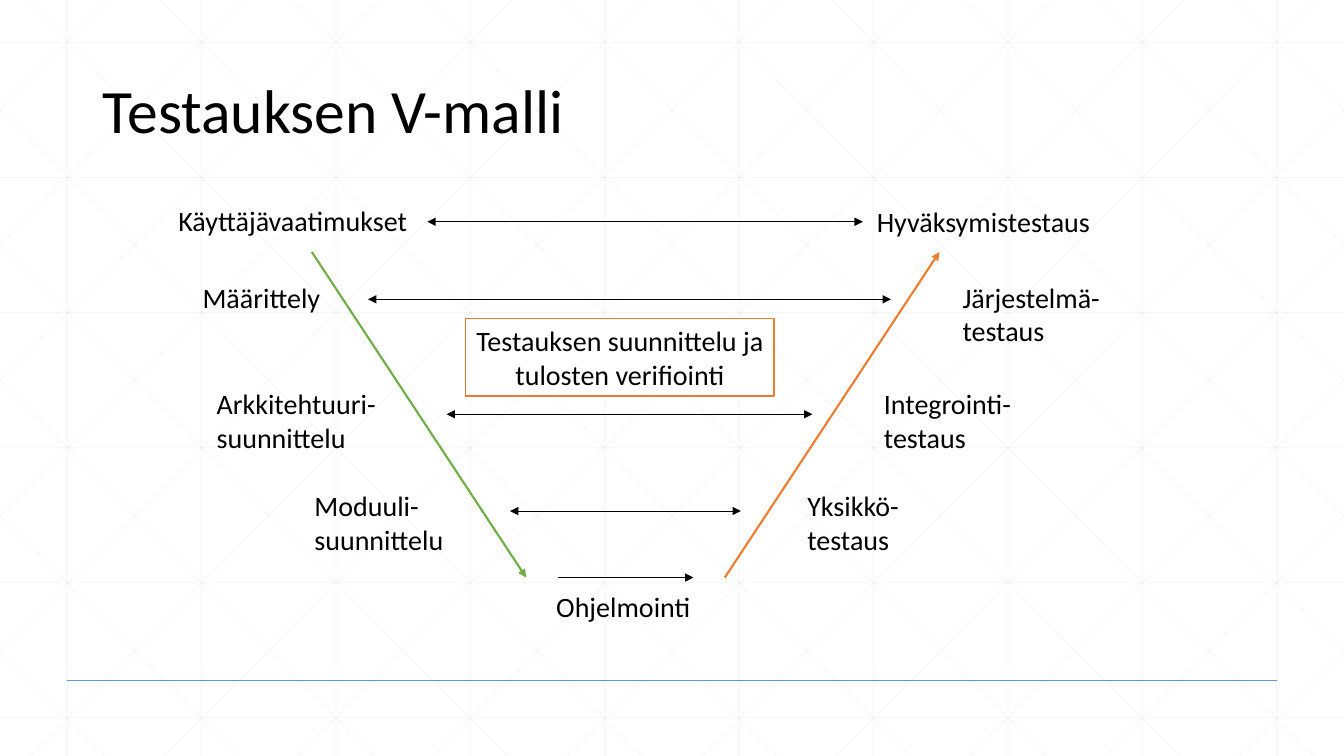
import pptx
import pptx.util
import pptx.dml.color
import pptx.enum.shapes
import pptx.enum.text
import pptx.oxml.ns
import lxml.etree

RGB = pptx.dml.color.RGBColor
BLACK = RGB(0, 0, 0)
WHITE = RGB(255, 255, 255)
GREY = RGB(0xD9, 0xD9, 0xD9)
BLUE = RGB(0x5B, 0x9B, 0xD5)
GREEN = RGB(0x70, 0xAD, 0x47)
ORANGE = RGB(0xED, 0x7D, 0x31)
FONT = "Calibri"

Pt = pptx.util.Pt
qn = pptx.oxml.ns.qn
ALIGN = pptx.enum.text.PP_ALIGN
ANCHOR = pptx.enum.text.MSO_ANCHOR

deck = pptx.Presentation()
deck.slide_width = pptx.util.Inches(13.33)
deck.slide_height = pptx.util.Inches(7.5)
col = deck.slide_width / 100
row = deck.slide_height / 100
slide = deck.slides.add_slide(deck.slide_layouts[5])
shapes = slide.shapes


def draw(home, x1, y1, x2, y2, color, width, ends=(), alpha=None):
    wire = home.add_connector(
        pptx.enum.shapes.MSO_CONNECTOR.STRAIGHT,
        round(x1 * col), round(y1 * row), round(x2 * col), round(y2 * row))
    wire.line.color.rgb = color
    wire.line.width = Pt(width)
    props = wire._element.spPr
    line = props.find(qn("a:ln"))
    if alpha:
        tint = line.find(qn("a:solidFill"))[0]
        lxml.etree.SubElement(tint, qn("a:alpha"), val=str(alpha * 1000))
    for end in ends:
        lxml.etree.SubElement(line, qn("a:" + end), type="triangle")
    lxml.etree.SubElement(props, qn("a:effectLst"))


def write(frame, lines, size, align):
    for i, text in enumerate(lines):
        para = frame.paragraphs[0] if i == 0 else frame.add_paragraph()
        para.alignment = align
        run = para.add_run()
        run.text = text
        run.font.size = Pt(size)
        run.font.name = FONT
        run.font.color.rgb = BLACK


grid = shapes.add_group_shape().shapes
for i in range(10):
    x = 5 + 10 * i
    draw(grid, x, 0, x, 100, GREY, 0.5, alpha=25)
for i in range(6):
    y = 5.6 + 17.87 * i
    draw(grid, 0, y, 100, y, GREY, 0.5, alpha=25)

span = 55.9
for i in range(-5, 10):
    start = 1.88 + 10 * i
    x1 = max(start, 0)
    x2 = min(start + span, 100)
    y1 = (x1 - start) / span * 100
    y2 = (x2 - start) / span * 100
    draw(grid, x1, y1, x2, y2, GREY, 0.5, alpha=25)
    draw(grid, 100 - x1, y1, 100 - x2, y2, GREY, 0.5, alpha=25)

draw(shapes, 5, 90, 95, 90, BLUE, 1)

title = shapes.title
title.left, title.top = round(6.9 * col), round(5.33 * row)
title.width, title.height = round(86.25 * col), round(19.33 * row)
title.text_frame.vertical_anchor = ANCHOR.MIDDLE
write(title.text_frame, ["Testauksen V-malli"], 44, ALIGN.LEFT)
title.text_frame.paragraphs[0].line_spacing = 0.9
shapes._spTree.append(title._element)

top, base = 33.33, 76.4
draw(shapes, 23.2, top, 39.15, base, GREEN, 1.5, ["tailEnd"])
draw(shapes, 41.55, base, 51.6, base, BLACK, 0.75, ["tailEnd"])
draw(shapes, 53.93, base, 69.9, top, ORANGE, 1.5, ["tailEnd"])

levels = [
    (31.8, 64.2, 29.33),
    (27.38, 66.3, 39.6),
    (33.23, 60.45, 54.8),
    (37.95, 55.13, 67.6),
]
for x1, x2, y in levels:
    draw(shapes, x1, y, x2, y, BLACK, 0.75, ["headEnd", "tailEnd"])

labels = [
    (12.53, 26.27, 18.75, ["Käyttäjävaatimukset"]),
    (14.33, 36.4, 10.43, ["Määrittely"]),
    (15.38, 50.53, 13.5, ["Arkkitehtuuri-", "suunnittelu"]),
    (22.65, 64, 11.25, ["Moduuli-", "suunnittelu"]),
    (40.65, 77.33, 11.63, ["Ohjelmointi"]),
    (59.33, 64, 8.4, ["Yksikkö-", "testaus"]),
    (65.03, 50.53, 11.1, ["Integrointi-", "testaus"]),
    (70.88, 36.4, 11.85, ["Järjestelmä-", "testaus"]),
    (64.5, 26.4, 17.55, ["Hyväksymistestaus"]),
    (34.65, 42.13, 22.95, ["Testauksen suunnittelu ja", "tulosten verifiointi"]),
]
for x, y, width, lines in labels:
    height = 1.47 + 4.4 * len(lines)
    box = shapes.add_textbox(
        round(x * col), round(y * row), round(width * col), round(height * row))
    box.text_frame.word_wrap = False
    box.text_frame.auto_size = pptx.enum.text.MSO_AUTO_SIZE.SHAPE_TO_FIT_TEXT
    write(box.text_frame, lines, 20, ALIGN.LEFT)

box.fill.solid()
box.fill.fore_color.rgb = WHITE
box.line.color.rgb = ORANGE
box.line.width = Pt(1)
for para in box.text_frame.paragraphs:
    para.alignment = ALIGN.CENTER

deck.save("out.pptx")
